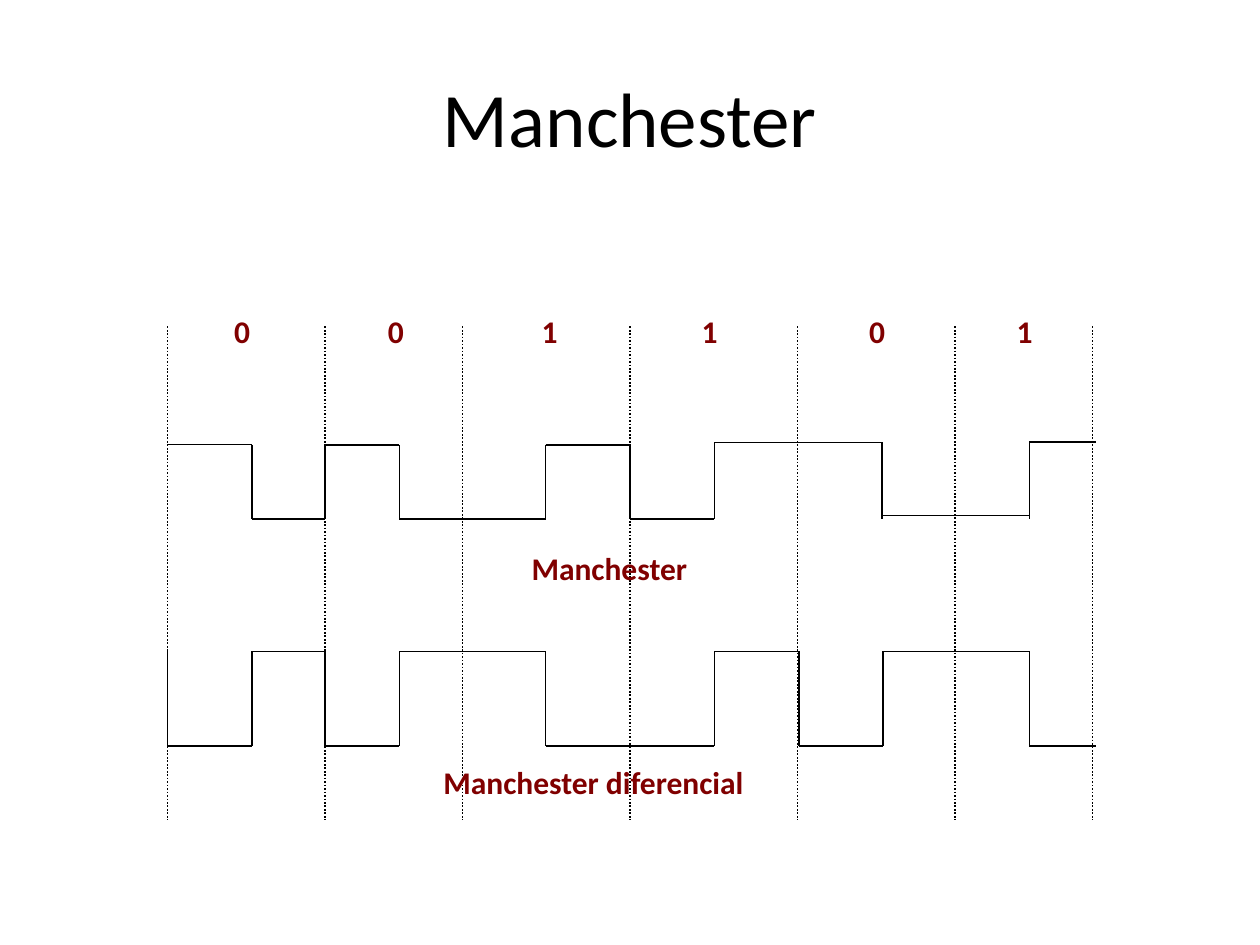
import pptx
import pptx.util
import pptx.dml.color
import pptx.enum.dml
import pptx.enum.shapes
import pptx.enum.text
from dataclasses import dataclass
from pptx.util import Inches, Pt


@dataclass(frozen=True)
class Theme:
    font: str = "Calibri"
    ink: str = "000000"
    accent: str = "800000"
    background: str = "FFFFFF"
    title_size: float = 44
    label_size: float = 18
    thin: float = 0.75
    thick: float = 1


def rgb(value):
    return pptx.dml.color.RGBColor.from_string(value)


class SlideBuilder:
    def __init__(self, slide, theme):
        self.slide = slide
        self.theme = theme
        slide.background.fill.solid()
        slide.background.fill.fore_color.rgb = rgb(theme.background)

    def add_run(self, paragraph, text, size, color, bold=False):
        run = paragraph.add_run()
        run.text = text
        run.font.name = self.theme.font
        run.font.size = Pt(size)
        run.font.bold = bold
        run.font.color.rgb = rgb(color)

    def title(self, text):
        heading = self.slide.shapes.title
        heading.left, heading.top = Inches(0.5), Inches(0.3)
        heading.width, heading.height = Inches(9), Inches(1.25)
        heading.text_frame.vertical_anchor = pptx.enum.text.MSO_ANCHOR.MIDDLE
        paragraph = heading.text_frame.paragraphs[0]
        paragraph.alignment = pptx.enum.text.PP_ALIGN.CENTER
        self.add_run(paragraph, text, self.theme.title_size, self.theme.ink)

    def label(self, text, left, top, width, wrap=False):
        box = self.slide.shapes.add_textbox(
            Inches(left), Inches(top), Inches(width), Inches(0.4))
        box.text_frame.word_wrap = wrap
        box.text_frame.auto_size = pptx.enum.text.MSO_AUTO_SIZE.SHAPE_TO_FIT_TEXT
        self.add_run(box.text_frame.paragraphs[0], text,
                     self.theme.label_size, self.theme.accent, bold=True)

    def line(self, start, end, weight, dash=None):
        connector = self.slide.shapes.add_connector(
            pptx.enum.shapes.MSO_CONNECTOR.STRAIGHT,
            *(Inches(value) for value in (*start, *end)))
        connector.line.color.rgb = rgb(self.theme.ink)
        connector.line.width = Pt(weight)
        if dash is not None:
            connector.line.dash_style = dash
        properties = connector._element.spPr
        properties.append(pptx.oxml.parse_xml(
            '<a:effectLst xmlns:a='
            '"http://schemas.openxmlformats.org/drawingml/2006/main"/>'))

    def wave(self, times, levels, thick_levels, edges, thick_from):
        """Draw one level per interval, and a full-height edge at each time."""
        theme = self.theme
        for index, level in enumerate(levels):
            weight = theme.thick if index in thick_levels else theme.thin
            self.line((times[index], level), (times[index + 1], level), weight)
        for time in edges:
            index = times.index(time)
            high = min(levels[max(index - 1, 0):index + 1] + levels[1:2]
                       if index == 0 else levels[index - 1:index + 1])
            weight = theme.thick if time >= thick_from else theme.thin
            self.line((time, high), (time, max(levels)), weight)


def main():
    deck = pptx.Presentation()
    deck.slide_width, deck.slide_height = Inches(10), Inches(7.5)
    builder = SlideBuilder(deck.slides.add_slide(deck.slide_layouts[5]), Theme())
    builder.title("Manchester")

    # Bit values and the dotted boundaries between them
    builder.label("0", 1.76, 2.43, 0.46, wrap=True)
    for bit, left in zip("01101", (2.98, 4.2, 5.47, 6.8, 7.97)):
        builder.label(bit, left, 2.43, 0.36)
    for boundary in (1.33, 2.58, 3.67, 5, 6.33, 7.58, 8.67):
        builder.line((boundary, 2.59), (boundary, 6.51), builder.theme.thick,
                     pptx.enum.dml.MSO_LINE.ROUND_DOT)

    # Manchester signal
    times = [1.33, 2, 2.58, 3.17, 4.33, 5, 5.67, 7, 8.17, 8.7]
    levels = [3.53, 4.12] * 3 + [3.51, 4.09, 3.51]
    builder.wave(times, levels, {2, 4, 8}, times[1:-1], thick_from=5.67)
    builder.label("Manchester", 4.12, 4.31, 1.69)

    # Differential Manchester signal, which also has an edge at the start
    times = [1.33, 2, 2.58, 3.17, 4.33, 5.67, 6.34, 7.01, 8.17, 8.7]
    levels = [5.92, 5.17] * 4 + [5.92]
    builder.wave(times, levels, {2, 5, 6, 8}, times[:-1], thick_from=6.34)
    builder.label("Manchester diferencial", 3.42, 6.01, 3.09)

    deck.save("out.pptx")


if __name__ == "__main__":
    main()
